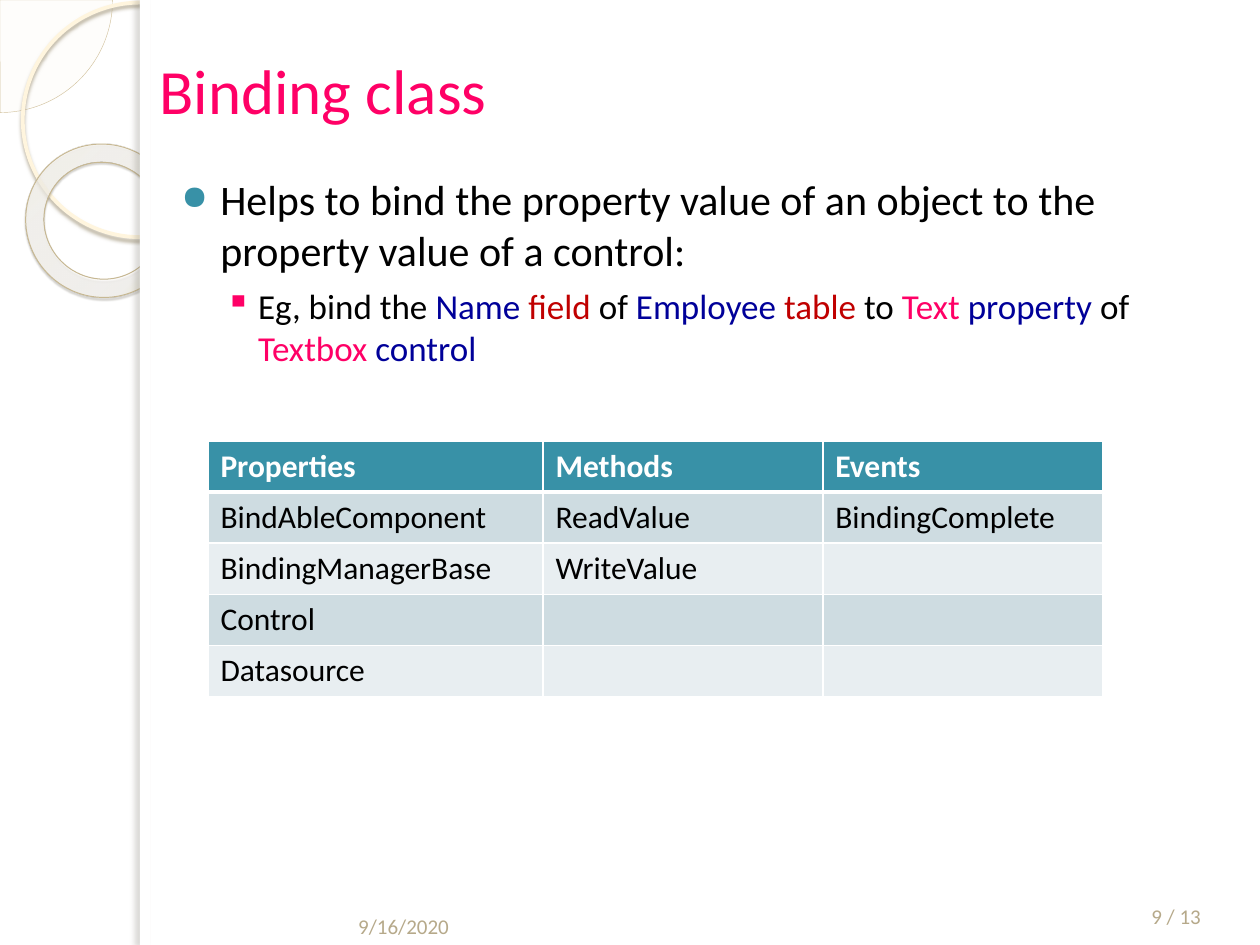
from pptx import Presentation
from pptx import util as u
from pptx.dml.color import RGBColor
from pptx.enum import shapes, text
from pptx.oxml import parse_xml
from pptx.oxml.ns import nsdecls, qn

COLORS = {
    "white": "FFFFFF", "black": "000000", "pink": "FF0066", "navy": "000099",
    "red": "C00000", "teal": "3891A7", "band_dark": "CEDCE1",
    "band_light": "E8EEF1", "muted": "B6A98A", "cream": "FEFAF4",
    "sand": "D3C39F", "ring": "FFF5DE", "ring_shadow": "B0A68F",
    "donut_line": "C7B893", "donut_shadow": "5A5444", "edge_shadow": "736F63",
    "glow_inner": "FFFCF6", "glow_middle": "FFFEFB", "glow_outer": "F0D28E",
}
KIND = shapes.MSO_SHAPE
ALIGN = text.PP_ALIGN
ANCHOR = text.MSO_ANCHOR


def rgb(name):
    return RGBColor.from_string(COLORS[name])


def element(tag, body):
    return parse_xml(f"<a:{tag} {nsdecls('a')}{body}</a:{tag}>")


def tint(name, percent=100):
    return (f'<a:srgbClr val="{COLORS[name]}">'
            f'<a:alpha val="{percent * 1000}"/></a:srgbClr>')


class Slide:
    font = "Calibri"

    def __init__(self, deck):
        self.page = deck.slides.add_slide(deck.slide_layouts[6])

    def shape(self, kind, frame, fill=None, line=None, width=0, adjust=()):
        shape = self.page.shapes.add_shape(kind, *map(u.Pt, frame))
        shape.shadow.inherit = False
        for index, value in enumerate(adjust):
            shape.adjustments[index] = value
        if fill:
            shape.fill.solid()
            shape.fill.fore_color.rgb = rgb(fill)
        else:
            shape.fill.background()
        if line:
            shape.line.color.rgb = rgb(line)
            shape.line.width = u.Pt(width)
        else:
            shape.line.fill.background()
        return shape

    def opacity(self, shape, percent):
        color = shape._element.spPr.find(qn("a:solidFill"))[0]
        color.append(element("alpha", f' val="{percent * 1000}">'))

    def shadow(self, shape, color, percent, blur, distance, angle):
        effects = shape._element.spPr.find(qn("a:effectLst"))
        effects.append(element(
            "outerShdw",
            f' blurRad="{u.Pt(blur)}" dist="{u.Pt(distance)}" dir="{angle * 60000}"'
            f' algn="tl" rotWithShape="0">{tint(color, percent)}'))

    def radial(self, shape, stops, bounds):
        marks = "".join(
            f'<a:gs pos="{place * 1000}">{tint(color, percent)}</a:gs>'
            for place, color, percent in stops)
        sides = " ".join(f'{side}="{value * 1000}"' for side, value in zip("ltrb", bounds))
        properties = shape._element.spPr
        properties.replace(properties.find(qn("a:noFill")), element(
            "gradFill",
            f' rotWithShape="1"><a:gsLst>{marks}</a:gsLst>'
            f'<a:path path="circle"><a:fillToRect {sides}/></a:path>'))

    def text_box(self, frame, anchor=ANCHOR.TOP):
        box = self.page.shapes.add_textbox(*map(u.Pt, frame)).text_frame
        box.word_wrap = True
        box.vertical_anchor = anchor
        return box

    def fill_para(self, para, spans, size, align=ALIGN.LEFT, bold=False):
        para.alignment = align
        para.font.name = self.font
        para.font.size = u.Pt(size)
        para.font.bold = bold
        if len(spans) == 1:
            para.font.color.rgb = rgb(spans[0][1])
        for words, color in spans:
            span = para.add_run()
            span.text = words
            if len(spans) > 1:
                span.font.color.rgb = rgb(color)

    def bullet(self, para, mark, color, percent, margin, hang, before):
        para.space_before = u.Pt(before)
        properties = para._p.get_or_add_pPr()
        properties.set("marL", str(u.Pt(margin)))
        properties.set("indent", str(-u.Pt(hang)))
        for tag, body in (
            ("buClr", f">{tint(color)}"),
            ("buSzPct", f' val="{percent * 1000}">'),
            ("buChar", f' char="{mark}">'),
        ):
            properties.append(element(tag, body))

    def borders(self, cell, top, bottom):
        properties = cell._tc.get_or_add_tcPr()
        for index, (side, width) in enumerate(zip("LRTB", (1, 1, top, bottom))):
            properties.insert(index, element(
                f"ln{side}",
                f' w="{u.Pt(width)}"><a:solidFill>{tint("white")}</a:solidFill>'))

    def table(self, left, top, widths, height, rows):
        frame = (left, top, sum(widths), height * len(rows))
        table = self.page.shapes.add_table(
            len(rows), len(widths), *map(u.Pt, frame)).table
        for column, width in zip(table.columns, widths):
            column.width = u.Pt(width)
        for r, row in enumerate(rows):
            header = r == 0
            band = "teal" if header else ("band_light", "band_dark")[r % 2]
            for c, words in enumerate(row):
                cell = table.cell(r, c)
                cell.fill.solid()
                cell.fill.fore_color.rgb = rgb(band)
                self.borders(cell, 3 if r == 1 else 1, 3 if header else 1)
                spans = [(words, "white" if header else "black")] if words else []
                self.fill_para(cell.text_frame.paragraphs[0], spans, 18, bold=header)


def main():
    deck = Presentation()
    deck.slide_width, deck.slide_height = u.Pt(720), u.Pt(540)
    slide = Slide(deck)

    pie = slide.shape(KIND.PIE, (-64.3, -64.3, 128.6, 128.6), "cream", "sand", 0.25, (0, 54))
    slide.opacity(pie, 33)
    ring = slide.shape(KIND.OVAL, (13, 1.5, 134, 134), None, "ring", 2.15)
    slide.shadow(ring, "ring_shadow", 85, 2, 2, 90)
    donut = slide.shape(KIND.DONUT, (14.4, 82.6, 88.6, 87.1), None, "donut_line", 0.58, (0.12,))
    donut.rotation = 38.6
    slide.radial(donut, [(0, "glow_inner", 70), (70, "glow_middle", 55),
                         (100, "glow_outer", 60)], (-408, -50, 508, 150))
    slide.shadow(donut, "donut_shadow", 35, 1, 1.2, 75)
    slide.shape(KIND.RECTANGLE, (80, 0, 640, 540), "white")
    edge = slide.shape(KIND.RECTANGLE, (80, 0, 6, 540), "white")
    slide.shadow(edge, "edge_shadow", 25, 3, 3, 180)

    title = slide.text_box((84.2, 5.8, 590.4, 90), ANCHOR.MIDDLE)
    slide.fill_para(title.paragraphs[0], [("Binding class", "pink")], 36)

    body = slide.text_box((90, 95.8, 613.4, 396))
    point = body.paragraphs[0]
    slide.bullet(point, "●", "teal", 80, 28.8, 22.3, 6)
    slide.fill_para(point, [("Helps to bind the property value of an object to the "
                             "property value of a control:", "black")], 24)
    example = body.add_paragraph()
    example.level = 1
    slide.bullet(example, "▪", "pink", 100, 50.4, 18.7, 5.5)
    slide.fill_para(example, [
        ("Eg, bind the ", "black"), ("Name ", "navy"), ("field", "red"),
        (" of ", "black"), ("Employee ", "navy"), ("table ", "red"),
        ("to ", "black"), ("Text ", "pink"), ("property ", "navy"),
        ("of ", "black"), ("Textbox ", "pink"), ("control", "navy")], 20)

    slide.table(118.8, 252, (191.5, 159.9, 159.9), 29.2, [
        ("Properties", "Methods", "Events"),
        ("BindAbleComponent", "ReadValue", "BindingComplete"),
        ("BindingManagerBase", "WriteValue", ""),
        ("Control", "", ""),
        ("Datasource", "", ""),
    ])

    for words, frame, align in (
        ("9/16/2020", (95.8, 502.6, 167.8, 37.4), ALIGN.RIGHT),
        ("9 / 13", (630, 496.8, 84.2, 37.4), ALIGN.CENTER),
    ):
        footer = slide.text_box(frame, ANCHOR.BOTTOM)
        slide.fill_para(footer.paragraphs[0], [(words, "muted")], 12, align)

    deck.save("out.pptx")


if __name__ == "__main__":
    main()
